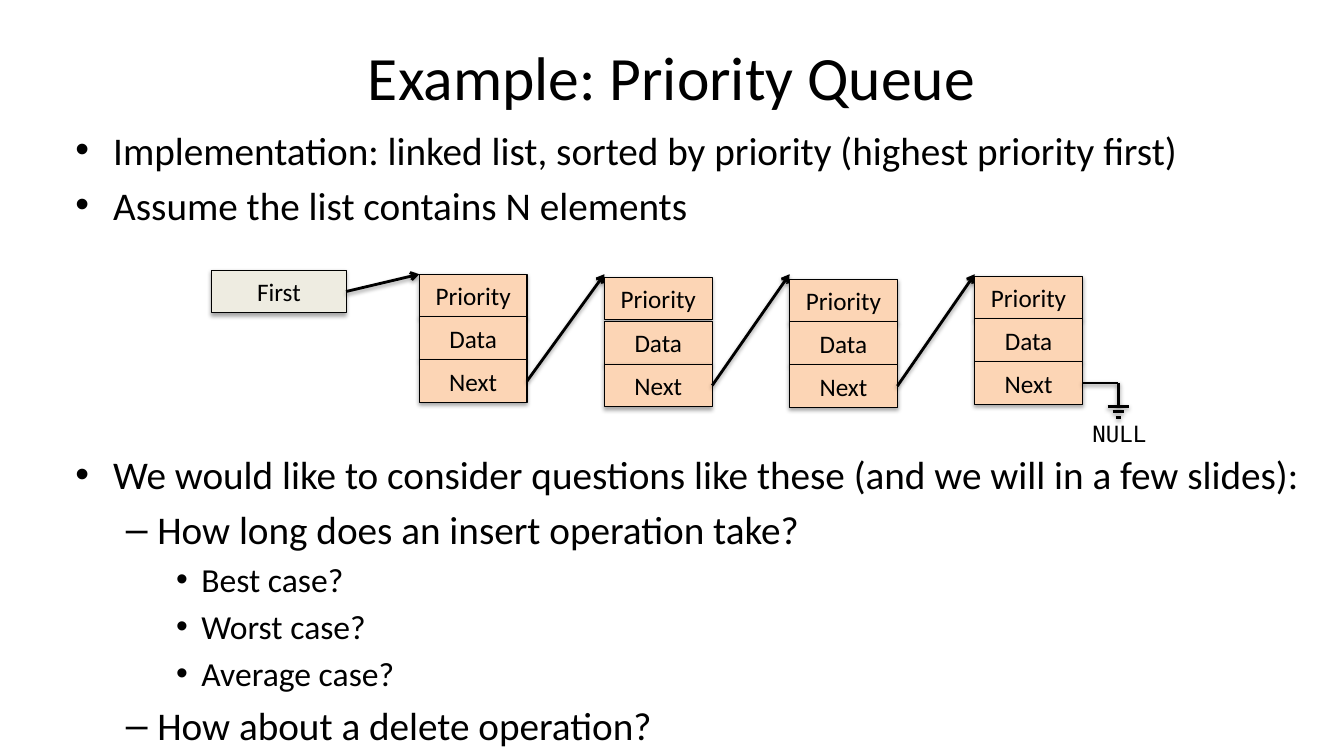
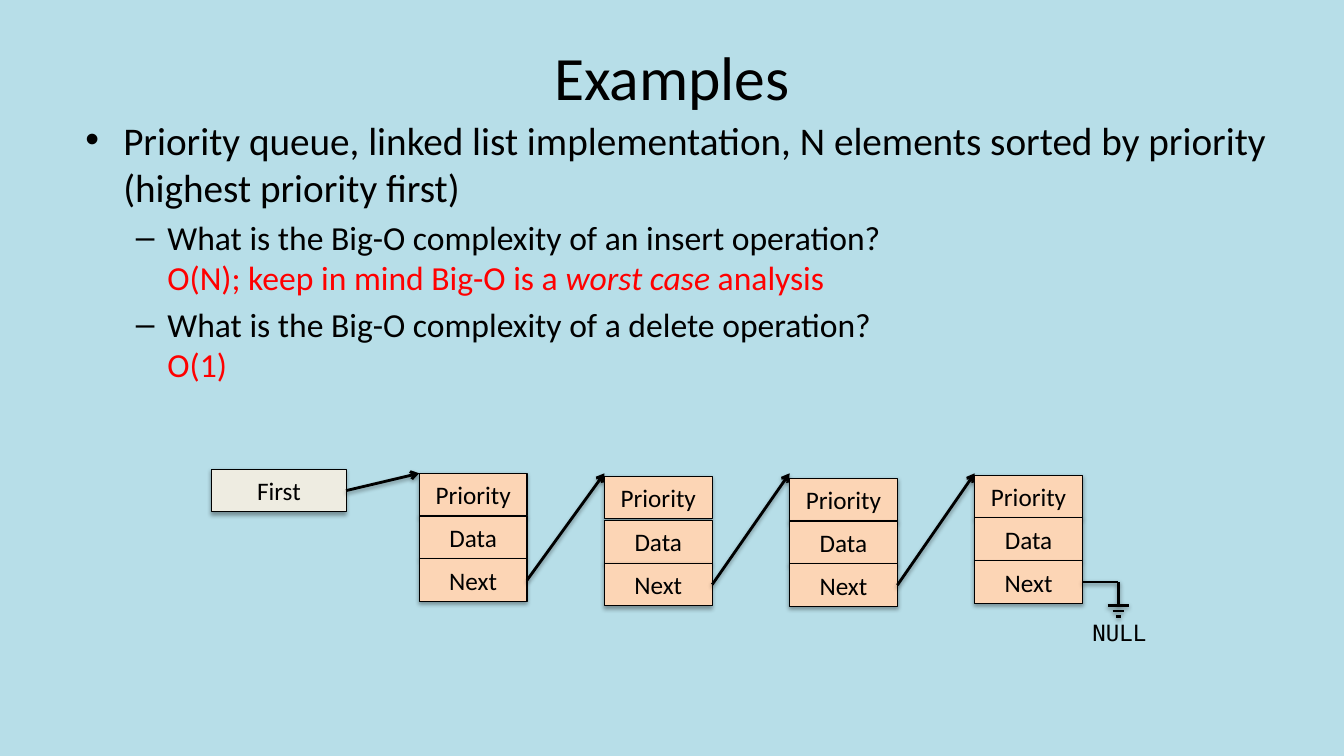
from lxml import etree
from pptx import Presentation
from pptx.dml.color import RGBColor
from pptx.enum.shapes import MSO_CONNECTOR, MSO_SHAPE
from pptx.enum.text import MSO_ANCHOR, PP_ALIGN
from pptx.oxml.ns import qn
from pptx.util import Pt

RECT = MSO_SHAPE.RECTANGLE
STRAIGHT = MSO_CONNECTOR.STRAIGHT
CENTER = PP_ALIGN.CENTER
MIDDLE = MSO_ANCHOR.MIDDLE
RIGHT_SIDE = 3

BLACK = RGBColor(0x00, 0x00, 0x00)
WHITE = RGBColor(0xFF, 0xFF, 0xFF)
RED = RGBColor(0xFF, 0x00, 0x00)
LIGHT_BLUE = RGBColor(0xB7, 0xDE, 0xE8)
IVORY = RGBColor(0xEE, 0xEC, 0xE1)
PEACH = RGBColor(0xFC, 0xD5, 0xB5)

FONT = "Calibri"
MONO = "DejaVu Sans Mono"
LEVELS = (("•", 27, 27), ("–", 58.5, 22.5), ("•", 90, 18))

FIRST_X, FIRST_W = 151.2, 96
NODE_X, NODE_W, NODE_STEP = 299.5, 77, 132.25
BOX_H = 30.5
FIELDS = ("Priority", "Data", "Next")
NODES = ((2.9, 0), (5, 1.1), (6.5, 0), (4.3, 0))
ARROW_DROP = 2.9
GROUND_X = 798.8
GROUND_BARS = ((97.2, 7.6), (101.2, 4), (105.1, 1.8))


def add_run(p, text, size, color=BLACK, italic=False, font=FONT):
    r = p.add_run()
    r.text = text
    r.font.name = font
    r.font.size = Pt(size)
    r.font.color.rgb = color
    r.font.italic = italic


def add_shadow(shape, dist, alpha):
    effects = etree.SubElement(shape._element.spPr, qn("a:effectLst"))
    shadow = etree.SubElement(effects, qn("a:outerShdw"), blurRad=str(Pt(3.1)),
                              dist=str(Pt(dist)), dir="5400000", rotWithShape="0")
    color = etree.SubElement(shadow, qn("a:srgbClr"), val=str(BLACK))
    etree.SubElement(color, qn("a:alpha"), val=str(alpha * 1000))


def add_slide(prs, title, background):
    s = prs.slides.add_slide(prs.slide_layouts[5])
    s.background.fill.solid()
    s.background.fill.fore_color.rgb = background
    sp = s.shapes.title
    sp.left, sp.top, sp.width, sp.height = Pt(156), Pt(9), Pt(648), Pt(90)
    tf = sp.text_frame
    tf.vertical_anchor = MIDDLE
    p = tf.paragraphs[0]
    p.alignment = CENTER
    add_run(p, title, 44)
    return s


def add_bullets(s, x, y, w, h, items):
    tf = s.shapes.add_textbox(Pt(x), Pt(y), Pt(w), Pt(h)).text_frame
    tf.word_wrap = True
    for i, (level, size, lines) in enumerate(items):
        p = tf.add_paragraph() if i else tf.paragraphs[0]
        mark, margin, hanging = LEVELS[level]
        pPr = p._p.get_or_add_pPr()
        pPr.set("marL", str(Pt(margin)))
        pPr.set("indent", str(-Pt(hanging)))
        etree.SubElement(pPr, qn("a:buFont"), typeface="Arial")
        etree.SubElement(pPr, qn("a:buChar"), char=mark)
        p.level = level
        p.space_before = Pt(size * 0.2 if i else 0)
        for n, line in enumerate(lines):
            if n:
                p.add_line_break()
            for text, *style in line:
                add_run(p, text, size, *style)


def add_box(s, x, y, w, text, fill):
    sp = s.shapes.add_shape(RECT, Pt(x), Pt(y), Pt(w), Pt(BOX_H))
    sp.fill.solid()
    sp.fill.fore_color.rgb = fill
    sp.line.color.rgb = BLACK
    sp.line.width = Pt(0.75)
    add_shadow(sp, 1.8, 35)
    tf = sp.text_frame
    tf.vertical_anchor = MIDDLE
    p = tf.paragraphs[0]
    p.alignment = CENTER
    add_run(p, text, 18)
    return sp


def add_line(s, x1, y1, x2, y2, source=None, arrow=False):
    line = s.shapes.add_connector(STRAIGHT, Pt(x1), Pt(y1), Pt(x2), Pt(y2))
    if source is not None:
        line.begin_connect(source, RIGHT_SIDE)
    line.line.color.rgb = BLACK
    line.line.width = Pt(2)
    if arrow:
        etree.SubElement(line.line._get_or_add_ln(), qn("a:tailEnd"), type="arrow")
    add_shadow(line, 1.6, 38)


def add_ground(s, top, source, x, y):
    add_line(s, x, y, GROUND_X, y, source)
    add_line(s, GROUND_X, y, GROUND_X, top + GROUND_BARS[0][0])
    for drop, half in GROUND_BARS:
        add_line(s, GROUND_X - half, top + drop, GROUND_X + half, top + drop)
    tf = s.shapes.add_textbox(Pt(773.3), Pt(top + 103.6), Pt(53.3), Pt(26.6)).text_frame
    tf.word_wrap = False
    add_run(tf.paragraphs[0], "NULL", 16, font=MONO)


def add_linked_list(s, top):
    source = add_box(s, FIRST_X, top, FIRST_W, "First", IVORY)
    source_x, source_y = FIRST_X + FIRST_W, top + BOX_H / 2
    for i, (drop, gap) in enumerate(NODES):
        x = NODE_X + i * NODE_STEP
        add_line(s, source_x, source_y, x, top + ARROW_DROP, source, arrow=True)
        for row, field in enumerate(FIELDS):
            y = top + drop + row * BOX_H + (gap if row else 0)
            source = add_box(s, x, y, NODE_W, field, PEACH)
        source_x, source_y = x + NODE_W, y + BOX_H / 2
    add_ground(s, top, source, source_x, source_y)


def plain(level, size, text):
    return level, size, [[(text,)]]


def main():
    prs = Presentation()
    prs.slide_width, prs.slide_height = Pt(960), Pt(540)

    s = add_slide(prs, "Example: Priority Queue", WHITE)
    add_bullets(s, 46.8, 86.4, 864, 98, [
        plain(0, 28, "Implementation: linked list, sorted by priority (highest priority first)"),
        plain(0, 28, "Assume the list contains N elements"),
    ])
    add_bullets(s, 46.8, 318.2, 892.8, 203.8, [
        plain(0, 28, "We would like to consider questions like these (and we will in a few slides):"),
        plain(1, 28, "How long does an insert operation take?"),
        plain(2, 24, "Best case?"),
        plain(2, 24, "Worst case?"),
        plain(2, 24, "Average case?"),
        plain(1, 28, "How about a delete operation?"),
    ])
    add_linked_list(s, 193)

    s = add_slide(prs, "Examples", LIGHT_BLUE)
    add_bullets(s, 54, 79.2, 864, 98, [
        plain(0, 28, "Priority queue, linked list implementation, N elements sorted by priority "
                     "(highest priority first)"),
        (1, 24, [
            [("What is the Big-O complexity of an insert operation?",)],
            [("O(N); keep in mind Big-O is a ", RED), ("worst case ", RED, True),
             ("analysis", RED)],
        ]),
        (1, 24, [
            [("What is the Big-O complexity of a delete operation?",)],
            [("O(1)", RED)],
        ]),
    ])
    add_linked_list(s, 335.2)

    prs.save("out.pptx")


if __name__ == "__main__":
    main()
